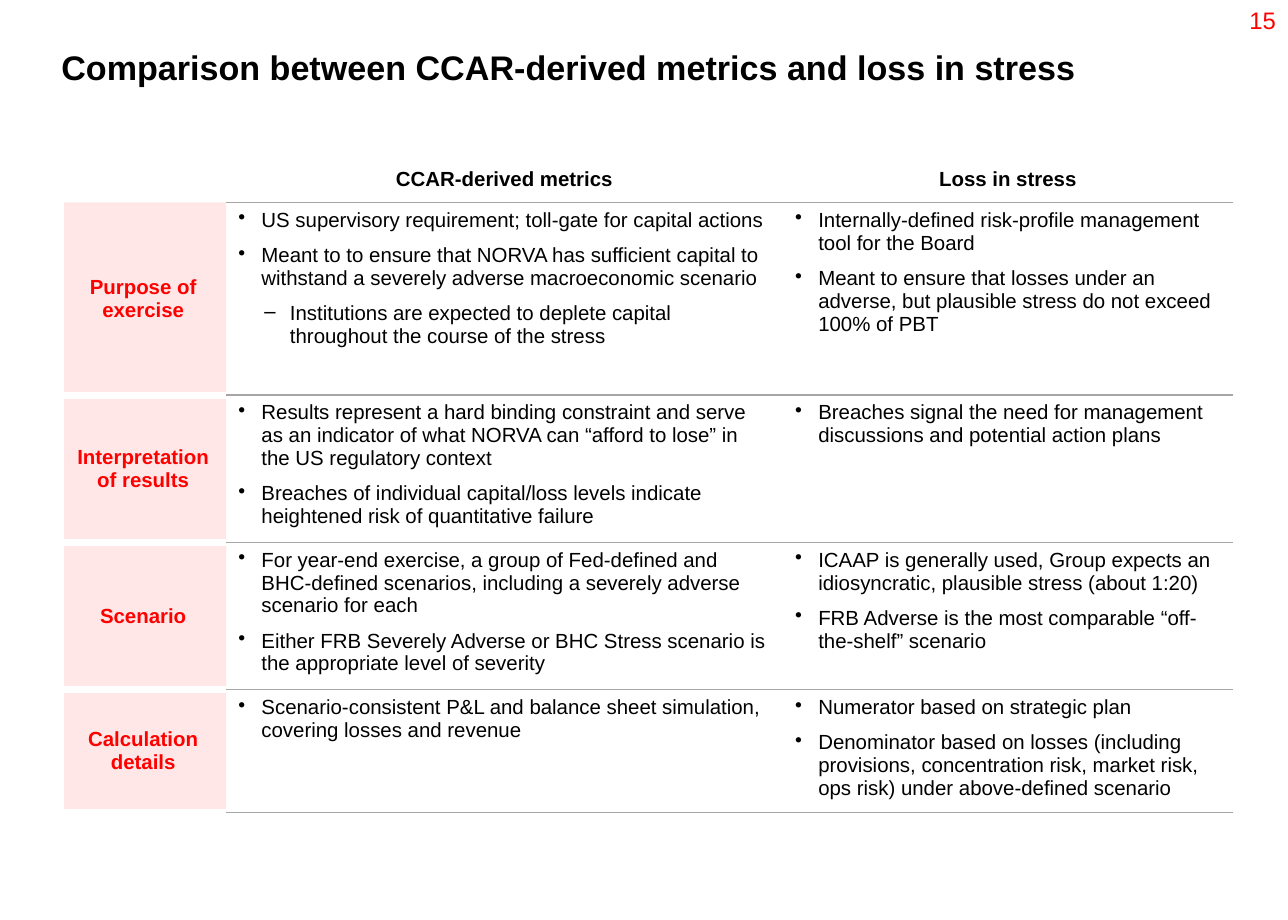
from dataclasses import dataclass
from lxml import etree
from pptx import Presentation, util as u
from pptx.dml.color import RGBColor
from pptx.enum import text as t
from pptx.oxml.ns import qn

Cm, Pt = u.Cm, u.Pt
LEFT, MID, RIGHT = t.PP_ALIGN.LEFT, t.PP_ALIGN.CENTER, t.PP_ALIGN.RIGHT


@dataclass(frozen=True)
class Theme:
    font: str = "Arial"
    ink: str = "000000"
    red: str = "FF0000"
    pink: str = "FFCCCC"
    grey: str = "A6A6A6"
    white: str = "FFFFFF"
    head: int = 20
    page: int = 14
    body: int = 12
    gap: float = 7.2
    thin: float = 1
    thick: float = 4.5
    plain: str = "{2D5ABB26-0587-4C30-8999-92F81FD0307C}"


TH = Theme()
# bullet mark, left margin and hanging indent for each list level
MARKS = [("•", Cm(0.48), Cm(-0.48)), ("–", Cm(1.07), Cm(-0.53))]
COLS = [Cm(3.43), Cm(11.53), Cm(9.32)]
ROWS = [Cm(0.73), Cm(3.99), Cm(2.88), Cm(2.88), Cm(2.4)]
HEADS = ["CCAR-derived metrics", "Loss in stress"]

# label, then one list per column; each item is (level, text)
TOPICS = [
    ("Purpose of exercise",
     [(0, "US supervisory requirement; toll-gate for capital actions"),
      (0, "Meant to to ensure that NORVA has sufficient capital to withstand "
          "a severely adverse macroeconomic scenario"),
      (1, "Institutions are expected to deplete capital throughout the "
          "course of the stress")],
     [(0, "Internally-defined risk-profile management tool for the Board"),
      (0, "Meant to ensure that losses under an adverse, but plausible "
          "stress do not exceed 100% of PBT")]),
    ("Interpretation of results",
     [(0, "Results represent a hard binding constraint and serve as an "
          "indicator of what NORVA can “afford to lose” in the US "
          "regulatory context"),
      (0, "Breaches of individual capital/loss levels indicate heightened "
          "risk of quantitative failure")],
     [(0, "Breaches signal the need for management discussions and "
          "potential action plans")]),
    ("Scenario",
     [(0, "For year-end exercise, a group of Fed-defined and BHC-defined "
          "scenarios, including a severely adverse scenario for each"),
      (0, "Either FRB Severely Adverse or BHC Stress scenario is the "
          "appropriate level of severity")],
     [(0, "ICAAP is generally used, Group expects an idiosyncratic, "
          "plausible stress (about 1:20)"),
      (0, "FRB Adverse is the most comparable “off-the-shelf” scenario")]),
    ("Calculation details",
     [(0, "Scenario-consistent P&L and balance sheet simulation, covering "
          "losses and revenue")],
     [(0, "Numerator based on strategic plan"),
      (0, "Denominator based on losses (including provisions, concentration "
          "risk, market risk, ops risk) under above-defined scenario")]),
]


def write(para, words, size=TH.body, color=TH.ink, bold=False, align=LEFT,
          lead=None, before=None, level=None):
    """Fill one paragraph; a level makes it a list item."""
    run = para.add_run()
    run.text = words
    font = run.font
    font.name, font.size, font.bold = TH.font, Pt(size), bold
    font.color.rgb = RGBColor.from_string(color)
    para.alignment = align
    if lead:
        para.line_spacing = lead
    if before:
        para.space_before = Pt(before)
    if level is not None:
        para.level = level
        mark, left, hang = MARKS[level]
        props = para._p.get_or_add_pPr()
        props.set("marL", str(left))
        props.set("indent", str(hang))
        etree.SubElement(props, qn("a:buChar"), char=mark)


def edge(cell, sides, color=None, width=0):
    """Draw the given cell sides (in L, R, T, B order); no colour means no line."""
    props = cell._tc.get_or_add_tcPr()
    for side in sides:
        line = etree.SubElement(props, qn("a:ln" + side), w=str(Pt(width)))
        if color:
            fill = etree.SubElement(line, qn("a:solidFill"))
            etree.SubElement(fill, qn("a:srgbClr"), val=color)
        else:
            etree.SubElement(line, qn("a:noFill"))


def title(slide, box, words):
    shape = slide.shapes.title
    shape.left, shape.top, shape.width, shape.height = box
    frame = shape.text_frame
    frame.margin_left = frame.margin_right = 0
    frame.margin_top = frame.margin_bottom = 0
    frame.auto_size = t.MSO_AUTO_SIZE.NONE
    frame.vertical_anchor = t.MSO_ANCHOR.TOP
    write(frame.paragraphs[0], words, size=TH.head, bold=True, lead=0.88)


def page(slide, box, words):
    frame = slide.shapes.add_textbox(*box).text_frame
    frame.word_wrap = True
    write(frame.paragraphs[0], words, size=TH.page, color=TH.red, align=RIGHT)


def label(cell, words, first):
    """Pink row label, parted from its neighbours by white edges."""
    edge(cell, "LB" if first else "LTB", TH.white, TH.thick)
    cell.fill.solid()
    cell.fill.fore_color.rgb = RGBColor.from_string(TH.pink)
    tint = next(cell._tc.tcPr.iter(qn("a:srgbClr"), ), None)
    tint = cell._tc.tcPr.find(qn("a:solidFill")).find(qn("a:srgbClr"))
    etree.SubElement(tint, qn("a:alpha"), val="46000")
    cell.vertical_anchor = t.MSO_ANCHOR.MIDDLE
    write(cell.text_frame.paragraphs[0], words, color=TH.red, bold=True,
          align=MID)


def points(cell, items):
    """Bulleted list between grey rules."""
    edge(cell, "TB", TH.grey, TH.thin)
    cell.fill.background()
    frame = cell.text_frame
    for i, (level, words) in enumerate(items):
        para = frame.add_paragraph() if i else frame.paragraphs[0]
        write(para, words, before=TH.gap if i else None, level=level)


def grid(slide, box):
    table = slide.shapes.add_table(len(ROWS), len(COLS), *box).table
    table.first_row = table.horz_banding = False
    table._tbl.tblPr.find(qn("a:tableStyleId")).text = TH.plain
    for col, width in zip(table.columns, COLS):
        col.width = width
    for row, height in zip(table.rows, ROWS):
        row.height = height

    # Header row
    blank = table.cell(0, 0)
    edge(blank, "LRTB")
    blank.fill.background()
    para = blank.text_frame.paragraphs[0]
    etree.SubElement(para._p, qn("a:endParaRPr"), sz=str(TH.body * 100))
    for c, words in enumerate(HEADS, 1):
        cell = table.cell(0, c)
        edge(cell, "B", TH.grey, TH.thin)
        cell.fill.background()
        write(cell.text_frame.paragraphs[0], words, bold=True, align=MID,
              lead=0.8)

    # Topic rows
    for r, (name, *lists) in enumerate(TOPICS, 1):
        label(table.cell(r, 0), name, first=r == 1)
        for c, items in enumerate(lists, 1):
            points(table.cell(r, c), items)


def main():
    deck = Presentation()
    deck.slide_width, deck.slide_height = Cm(26.67), Cm(19.05)
    slide = deck.slides.add_slide(deck.slide_layouts[5])
    title(slide, (Cm(1.27), Cm(1.07), Cm(24.13), Cm(2.11)),
          "Comparison between CCAR-derived metrics and loss in stress")
    page(slide, (Cm(25.55), Cm(0), Cm(1.12), Cm(1.07)), "15")
    grid(slide, (Cm(1.25), Cm(3.43), sum(COLS), sum(ROWS)))
    deck.save("out.pptx")


if __name__ == "__main__":
    main()
